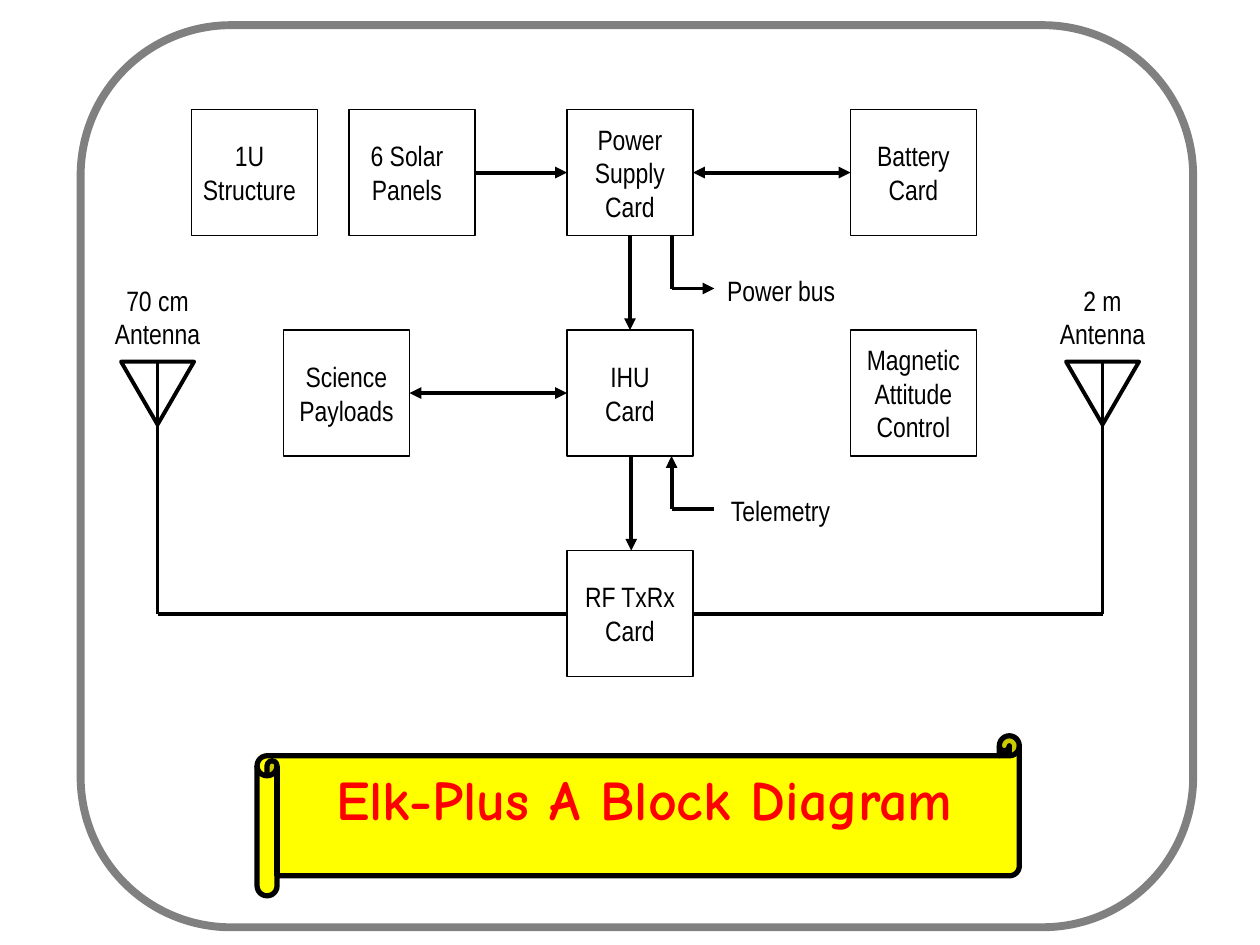
from lxml import etree
from pptx import Presentation
from pptx.dml.color import RGBColor
from pptx.enum.shapes import MSO_CONNECTOR, MSO_SHAPE
from pptx.enum.text import MSO_ANCHOR, MSO_AUTO_SIZE, PP_ALIGN
from pptx.oxml.ns import qn
from pptx.util import Inches, Pt

RECT, ROUND = MSO_SHAPE.RECTANGLE, MSO_SHAPE.ROUNDED_RECTANGLE
SCROLL, TRIANGLE = MSO_SHAPE.HORIZONTAL_SCROLL, MSO_SHAPE.ISOSCELES_TRIANGLE
STRAIGHT, CENTER = MSO_CONNECTOR.STRAIGHT, PP_ALIGN.CENTER
TOP, MIDDLE, NO_FIT = MSO_ANCHOR.TOP, MSO_ANCHOR.MIDDLE, MSO_AUTO_SIZE.NONE

THEME = {
    "ink": "000000", "frame": "808080", "banner": "FFFF00", "title": "FF0000",
    "body_font": "Arial Narrow", "title_font": "Comic Neue",
    "body_size": 16, "title_size": 32,
    "thin": 0.74, "wire": 2.24, "banner_line": 3, "frame_line": 4.5,
}
TITLE = "Elk-Plus A Block Diagram"

SIDE = 1
ROWS = [0.87 + 1.75 * row for row in range(3)]
MIDS = [top + SIDE / 2 for top in ROWS]
STRUCTURE, SOLAR, SCIENCE, CORE, RIGHT = 1.52, 2.77, 2.25, 4.5, 6.75
CORE_MID, CORE_END = CORE + SIDE / 2, CORE + SIDE
BUS, BUS_END, BUS_DROP = CORE + 0.83, CORE + 1.17, 0.42
SHIFTED = (0.06, 0.14)
EVEN = (0.1, 0.1)

BLOCKS = [
    (STRUCTURE, 0, ["1U Structure"], SHIFTED),
    (SOLAR, 0, ["6 Solar", "Panels"], SHIFTED),
    (CORE, 0, ["Power", "Supply", "Card"], EVEN),
    (RIGHT, 0, ["Battery", "Card"], EVEN),
    (SCIENCE, 1, ["Science", "Payloads"], EVEN),
    (CORE, 1, ["IHU", "Card"], EVEN),
    (RIGHT, 1, ["Magnetic\vAttitude", "Control"], EVEN),
    (CORE, 2, ["RF TxRx", "Card"], EVEN),
]
LABELS = [
    (5.67, 2.12, 1.06, 0.37, ["Power bus"]),
    (5.7, 3.87, 0.99, 0.37, ["Telemetry"]),
]
ANTENNAS = [(1.25, CORE, "70 cm"), (8.75, CORE_END, "2 m")]
ANTENNA_TOP, ANTENNA_WIDTH, ANTENNA_HEIGHT = 2.87, 0.58, 0.5

BUS_LOW, TELEMETRY_LOW = (ROWS[row] + SIDE + BUS_DROP for row in (0, 1))
WIRES = [
    ((SOLAR + SIDE, MIDS[0]), (CORE, MIDS[0]), "tail"),
    ((CORE_END, MIDS[0]), (RIGHT, MIDS[0]), "head tail"),
    ((SCIENCE + SIDE, MIDS[1]), (CORE, MIDS[1]), "head tail"),
    ((CORE_MID, ROWS[0] + SIDE), (CORE_MID, ROWS[1]), "tail"),
    ((CORE_MID + 0.01, ROWS[1] + SIDE), (CORE_MID + 0.01, ROWS[2]), "tail"),
    ((BUS, BUS_LOW), (BUS, ROWS[0] + SIDE), ""),
    ((BUS, BUS_LOW), (BUS_END, BUS_LOW), "tail"),
    ((BUS, TELEMETRY_LOW), (BUS, ROWS[1] + SIDE), "tail"),
    ((BUS, TELEMETRY_LOW), (BUS_END, TELEMETRY_LOW), ""),
]


def color(name):
    return RGBColor.from_string(THEME[name])


def write(box, lines, kind="body", ink="ink", bold=False, wrap=False,
          anchor=MIDDLE, sides=EVEN):
    frame = box.text_frame
    frame.auto_size = NO_FIT
    frame.word_wrap = wrap
    frame.vertical_anchor = anchor
    frame.margin_left, frame.margin_right = map(Inches, sides)
    frame.margin_top = frame.margin_bottom = Inches(0.05)
    for index, line in enumerate(lines):
        para = frame.add_paragraph() if index else frame.paragraphs[0]
        para.text = line
        para.alignment = CENTER
        for span in para.runs:
            span.font.name = THEME[kind + "_font"]
            span.font.size = Pt(THEME[kind + "_size"])
            span.font.bold = bold
            span.font.color.rgb = color(ink)


def draw(page, preset, area, width, line="ink", fill=None):
    box = page.shapes.add_shape(preset, *map(Inches, area))
    box.shadow.inherit = False
    box.line.color.rgb = color(line)
    box.line.width = Pt(THEME[width])
    if fill:
        box.fill.solid()
        box.fill.fore_color.rgb = color(fill)
    else:
        box.fill.background()
    return box


def connect(page, start, end, arrows=""):
    wire = page.shapes.add_connector(STRAIGHT, *map(Inches, start + end))
    wire.line.color.rgb = color("ink")
    wire.line.width = Pt(THEME["wire"])
    properties = wire.element.spPr
    for arrow in arrows.split():
        etree.SubElement(properties.find(qn("a:ln")), qn(f"a:{arrow}End"),
                         type="triangle")
    etree.SubElement(properties, qn("a:effectLst"))


def label(page, area, lines):
    write(page.shapes.add_textbox(*map(Inches, area)), lines, anchor=TOP)


deck = Presentation()
deck.slide_width, deck.slide_height = Inches(10), Inches(7.5)
page = deck.slides.add_slide(deck.slide_layouts[5])

draw(page, SCROLL, (2.04, 5.84, 6.05, 1.27), "banner_line", fill="banner")
title = page.shapes.title
title.left, title.top, title.width, title.height = map(
    Inches, (1.74, 6.02, 6.75, 0.63))
write(title, [TITLE], kind="title", ink="title", bold=True, wrap=True, anchor=TOP)
page.shapes.element.append(title.element)
draw(page, ROUND, (0.64, 0.2, 8.83, 7.16), "frame_line", line="frame")

for left, row, lines, sides in BLOCKS:
    block = draw(page, RECT, (left, ROWS[row], SIDE, SIDE), "thin")
    write(block, lines, wrap=len(lines) == 1, sides=sides)

for start, end, arrows in WIRES:
    connect(page, start, end, arrows)

for middle, core_edge, band in ANTENNAS:
    dish = draw(page, TRIANGLE, (middle - ANTENNA_WIDTH / 2, ANTENNA_TOP,
                                 ANTENNA_WIDTH, ANTENNA_HEIGHT), "wire")
    dish.rotation = 180
    connect(page, (middle, ANTENNA_TOP), (middle, MIDS[2]))
    connect(page, (middle, MIDS[2]), (core_edge, MIDS[2]))
    label(page, (middle - 0.44, 2.2, 0.88, 0.63), [band, "Antenna"])

for *area, lines in LABELS:
    label(page, area, lines)

deck.save("out.pptx")
